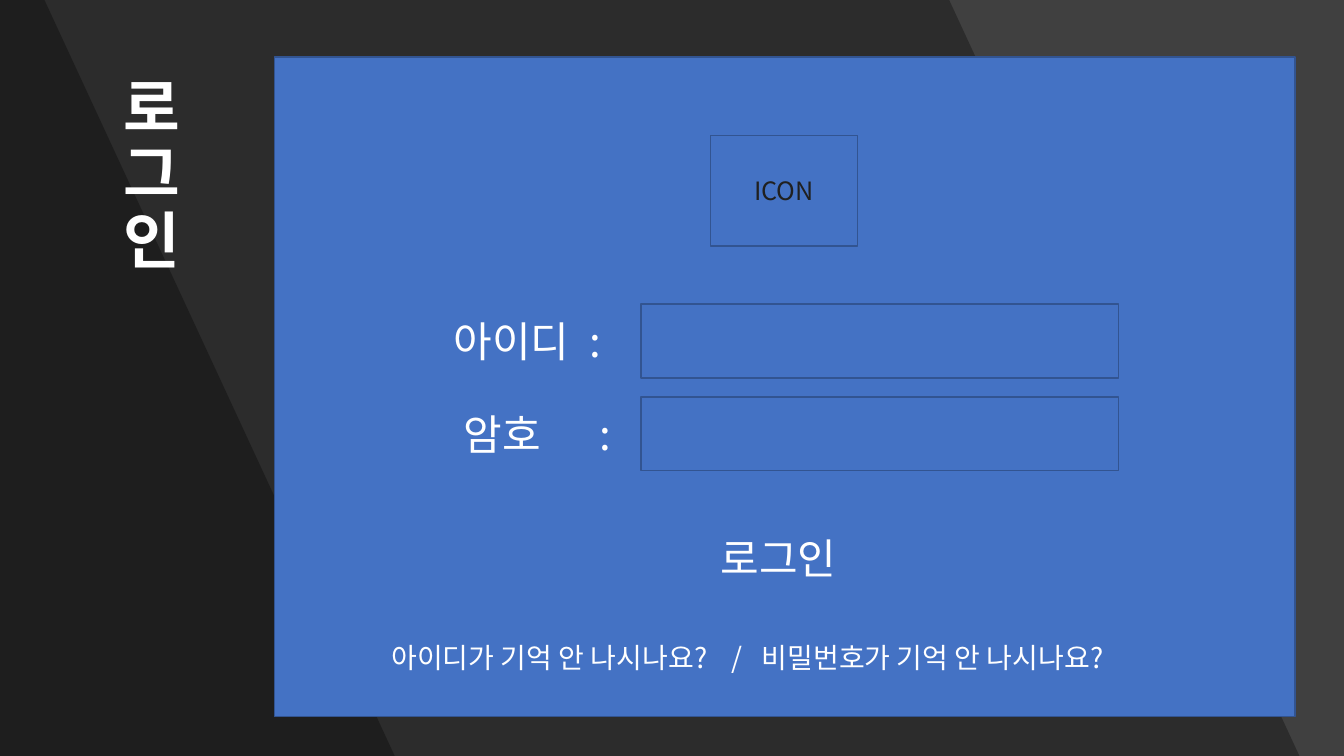
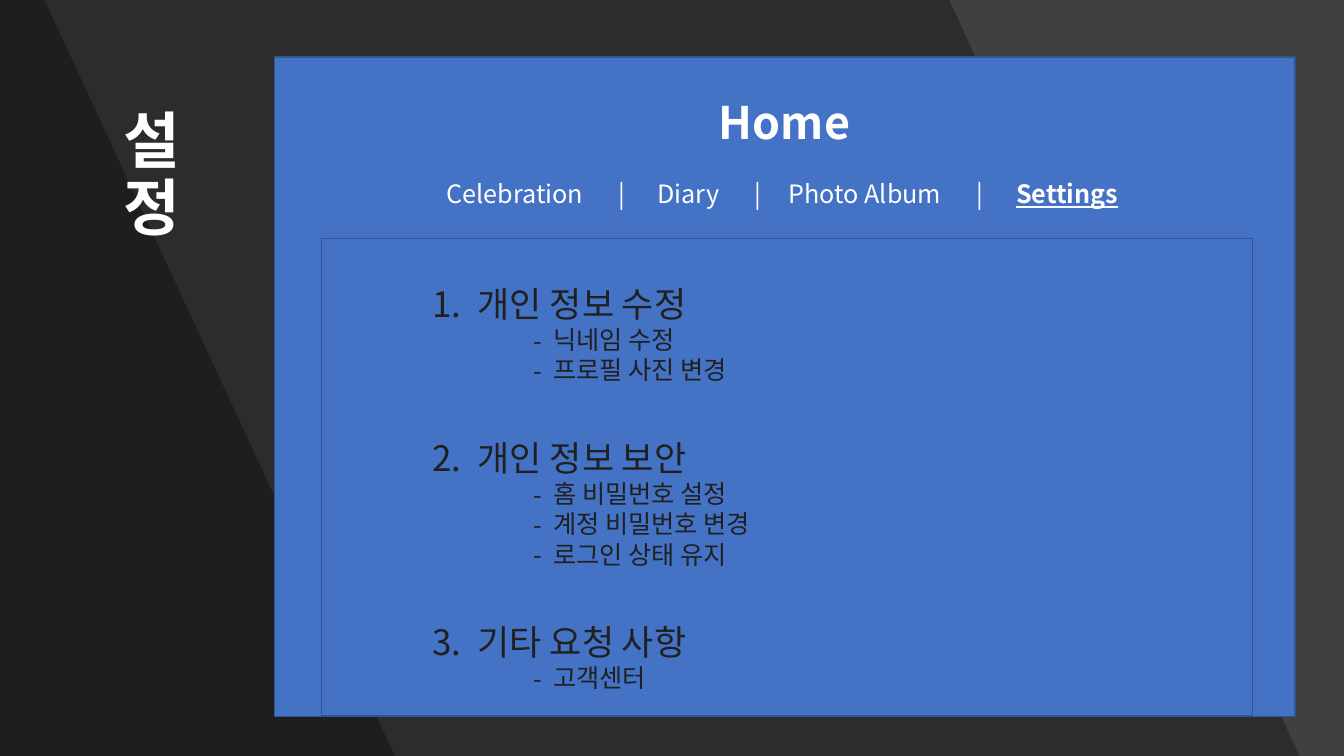
"""Build a login slide and a settings slide that share one dark frame."""
from dataclasses import dataclass

from lxml import etree
from pptx import Presentation
from pptx import util as u
from pptx.dml.color import RGBColor
from pptx.enum import shapes, text
from pptx.oxml import ns

COLUMNS, ROWS = 160, 90
CELL = u.Inches(7.5) / ROWS
FONT = "Noto Sans CJK KR"
BACKDROP = RGBColor(0x40, 0x40, 0x40)
SHADE = RGBColor(0x00, 0x00, 0x00)
SHADE_OPACITY = 30
BLUE = RGBColor(0x44, 0x72, 0xC4)
EDGE = RGBColor(0x32, 0x54, 0x91)
WHITE = RGBColor(0xFF, 0xFF, 0xFF)
INK = RGBColor(0x20, 0x20, 0x20)
LEFT, CENTER = text.PP_ALIGN.LEFT, text.PP_ALIGN.CENTER
TOP, MIDDLE = text.MSO_ANCHOR.TOP, text.MSO_ANCHOR.MIDDLE


@dataclass(frozen=True)
class Area:
    """A rectangle in grid columns and rows."""
    column: float
    row: float
    width: float
    height: float

    def moved(self, columns: float = 0, rows: float = 0) -> "Area":
        """Return the same area shifted over the grid."""
        return Area(self.column + columns, self.row + rows, self.width, self.height)

    def emu(self) -> tuple:
        """Return left, top, width and height in slide units."""
        return tuple(cells(n) for n in (self.column, self.row, self.width, self.height))


@dataclass(frozen=True)
class Style:
    """The look of a text."""
    size: float
    color: RGBColor = WHITE
    bold: bool = False
    align: text.PP_ALIGN = LEFT
    anchor: text.MSO_ANCHOR = TOP
    spacing: float = 1.0
    tabs: tuple = ()


@dataclass(frozen=True)
class ListLevel:
    """The look and indents of one list level."""
    style: Style
    margin: float
    hanging: float
    bullet: str
    attribute: tuple


@dataclass(frozen=True)
class Setting:
    """A settings heading with its options."""
    heading: str
    options: tuple


TITLE_AREA = Area(10.9, 4.8, 14.4, 32.5)
PANEL = Area(32.65, 6.8, 121.55, 78.5)
ICON = Area(84.6, 16.1, 17.5, 13.2)
FIELD = Area(76.3, 36.2, 56.9, 8.8)
LABEL = Area(52.8, 36.2, 22, 8.8)
FIELD_PITCH = 11.04
LABEL_SHIFT = 1.2
BUTTON = Area(84.6, 62.8, 17.5, 7.3)
HELP = Area(45.4, 75.7, 96, 5.3)
HOME = Area(37.8, 10.7, 111.2, 7.6)
MENU = Area(52, 20.6, 84, 4.8)
LISTING = Area(38.3, 28.4, 110.8, 56.8)
SHADES = ((113, 154.7), (5.3, 47))

TITLE = Style(44, bold=True, align=CENTER, anchor=MIDDLE, spacing=0.9)
LABEL_STYLE = Style(30, anchor=MIDDLE, tabs=(16.2,))
BUTTON_STYLE = Style(30)
HELP_STYLE = Style(20, tabs=(40.5, 44.1))
ICON_STYLE = Style(18, INK, align=CENTER, anchor=MIDDLE)
HOME_STYLE = Style(32, bold=True, align=CENTER)
MENU_STYLE = Style(18, tabs=(20.5, 25.1, 36.7, 40.7, 63.1, 67.8))
LEVELS = (
    ListLevel(Style(25, INK, spacing=1.5), 17.4, 5.4, "buAutoNum", ("type", "arabicPeriod")),
    ListLevel(Style(18, INK), 26.4, 2.4, "buChar", ("char", "-")),
)
GROUP_GAP = u.Pt(21.8)

LABELS = ("아이디\t:", "암호\t:")
HELP_TEXT = "아이디가 기억 안 나시나요?\t/\t비밀번호가 기억 안 나시나요?"
MENU_TEXT = "Celebration\t|\tDiary\t|\tPhoto Album\t|\t"
SETTINGS = (
    Setting("개인 정보 수정", ("닉네임 수정", "프로필 사진 변경")),
    Setting("개인 정보 보안", ("홈 비밀번호 설정", "계정 비밀번호 변경", "로그인 상태 유지")),
    Setting("기타 요청 사항", ("고객센터",)),
)


def cells(count: float) -> int:
    """Turn grid cells into slide units."""
    return round(count * CELL)


def add_xml(parent, tag: str, **attributes: str):
    """Append a drawing element to its parent."""
    return etree.SubElement(parent, ns.qn(f"a:{tag}"), attributes)


def format_span(span, style: Style) -> None:
    """Give a run its font, size and colour."""
    span.font.size, span.font.bold = u.Pt(style.size), style.bold
    span.font.color.rgb = style.color
    span.font.name = FONT
    add_xml(span._r.get_or_add_rPr(), "ea", typeface=FONT)


def format_para(para, style: Style) -> None:
    """Give a paragraph its alignment, tab stops and run format."""
    para.alignment, para.line_spacing = style.align, style.spacing
    if style.tabs:
        stops = add_xml(para._p.get_or_add_pPr(), "tabLst")
        for stop in style.tabs:
            add_xml(stops, "tab", pos=str(cells(stop)), algn="l")
    for span in para.runs:
        format_span(span, style)


def write(box, words: str, style: Style):
    """Write one formatted paragraph in a box and return it."""
    frame = box.text_frame
    frame.word_wrap, frame.vertical_anchor = True, style.anchor
    frame.text = words
    format_para(frame.paragraphs[0], style)
    return frame.paragraphs[0]


def add_text(page, area: Area, words: str, style: Style):
    """Add a text box and return its paragraph."""
    return write(page.shapes.add_textbox(*area.emu()), words, style)


def add_box(page, area: Area):
    """Add a blue outlined rectangle."""
    box = page.shapes.add_shape(shapes.MSO_SHAPE.RECTANGLE, *area.emu())
    box.shadow.inherit = False
    box.fill.solid()
    box.fill.fore_color.rgb = BLUE
    box.line.color.rgb = EDGE
    box.line.width = u.Pt(1)
    return box


def add_shade(page, top: float, bottom: float) -> None:
    """Add a translucent slanted band from the left edge."""
    outline = page.shapes.build_freeform(0, 0, scale=1.0)
    corners = ((top, 0), (bottom, ROWS), (0, ROWS))
    outline.add_line_segments([(cells(x), cells(y)) for x, y in corners], close=True)
    band = outline.convert_to_shape()
    band.shadow.inherit = False
    band.fill.solid()
    band.fill.fore_color.rgb = SHADE
    band.line.fill.background()
    color = band._element.spPr.find(f".//{ns.qn('a:srgbClr')}")
    add_xml(color, "alpha", val=str(SHADE_OPACITY * 1000))


def add_page(deck, title: str):
    """Add a slide with the shared backdrop, title and panel."""
    page = deck.slides.add_slide(deck.slide_layouts[6])
    page.background.fill.solid()
    page.background.fill.fore_color.rgb = BACKDROP
    for top, bottom in SHADES:
        add_shade(page, top, bottom)
    add_text(page, TITLE_AREA, title, TITLE)
    add_box(page, PANEL)
    return page


def add_list_item(frame, words: str, depth: int, first: bool, gap: bool) -> None:
    """Add a numbered or dashed list paragraph."""
    level = LEVELS[depth]
    para = frame.paragraphs[0] if first else frame.add_paragraph()
    para.text, para.level = words, depth
    format_para(para, level.style)
    if gap:
        para.space_before = GROUP_GAP
    properties = para._p.get_or_add_pPr()
    properties.set("marL", str(cells(level.margin)))
    properties.set("indent", str(-cells(level.hanging)))
    add_xml(properties, "buFont", typeface=FONT)
    add_xml(properties, level.bullet, **dict([level.attribute]))


def build_login(deck) -> None:
    """Build the login form slide."""
    page = add_page(deck, "로그인")
    write(add_box(page, ICON), "ICON", ICON_STYLE)
    for index, label in enumerate(LABELS):
        add_box(page, FIELD.moved(rows=index * FIELD_PITCH))
        add_text(page, LABEL.moved(index * LABEL_SHIFT, index * FIELD_PITCH), label, LABEL_STYLE)
    add_text(page, BUTTON, "로그인", BUTTON_STYLE)
    add_text(page, HELP, HELP_TEXT, HELP_STYLE)


def build_settings(deck) -> None:
    """Build the settings slide."""
    page = add_page(deck, "설정")
    add_text(page, HOME, "Home", HOME_STYLE)
    current = add_text(page, MENU, MENU_TEXT, MENU_STYLE).add_run()
    current.text = "Settings"
    format_span(current, MENU_STYLE)
    current.font.bold = current.font.underline = True
    frame = add_box(page, LISTING).text_frame
    frame.word_wrap, frame.vertical_anchor = True, MIDDLE
    for index, setting in enumerate(SETTINGS):
        add_list_item(frame, setting.heading, 0, first=index == 0, gap=index > 0)
        for option in setting.options:
            add_list_item(frame, option, 1, first=False, gap=False)


def main() -> None:
    """Build and save the deck."""
    deck = Presentation()
    deck.slide_width, deck.slide_height = cells(COLUMNS), cells(ROWS)
    build_login(deck)
    build_settings(deck)
    deck.save("out.pptx")


if __name__ == "__main__":
    main()
